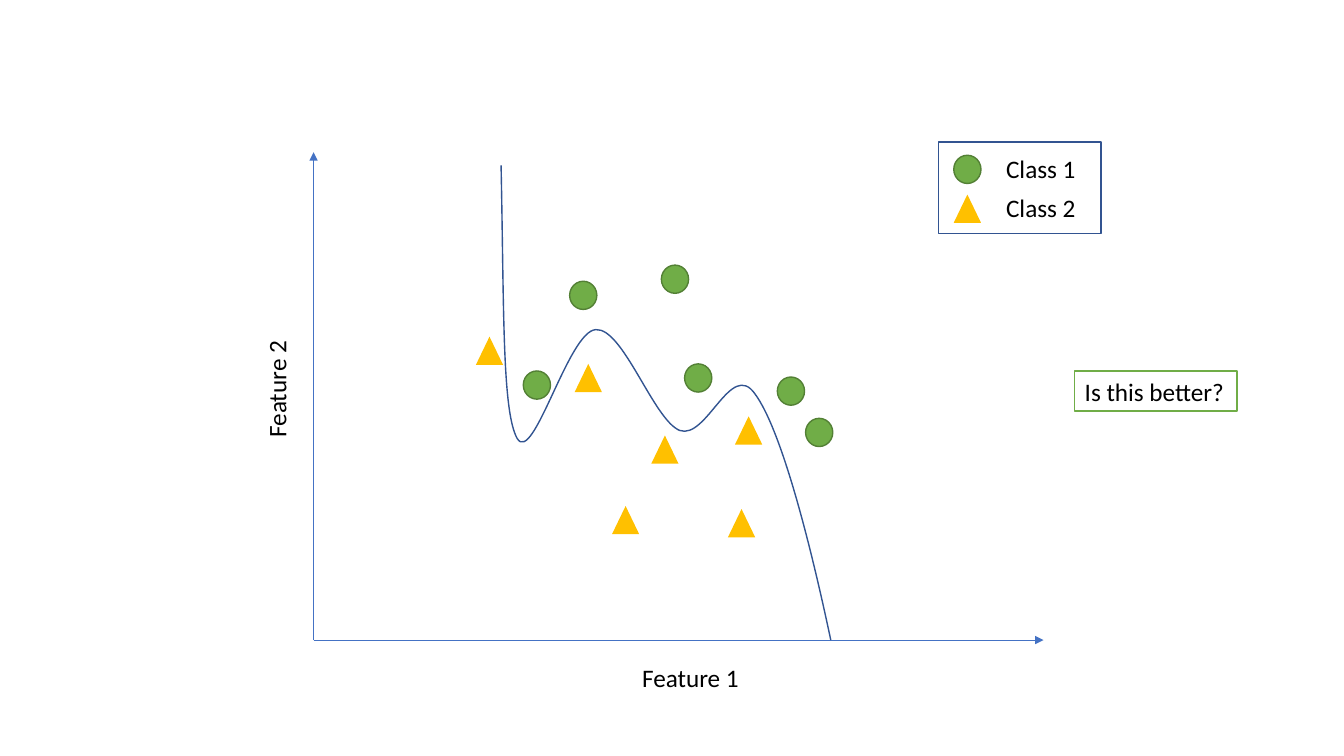
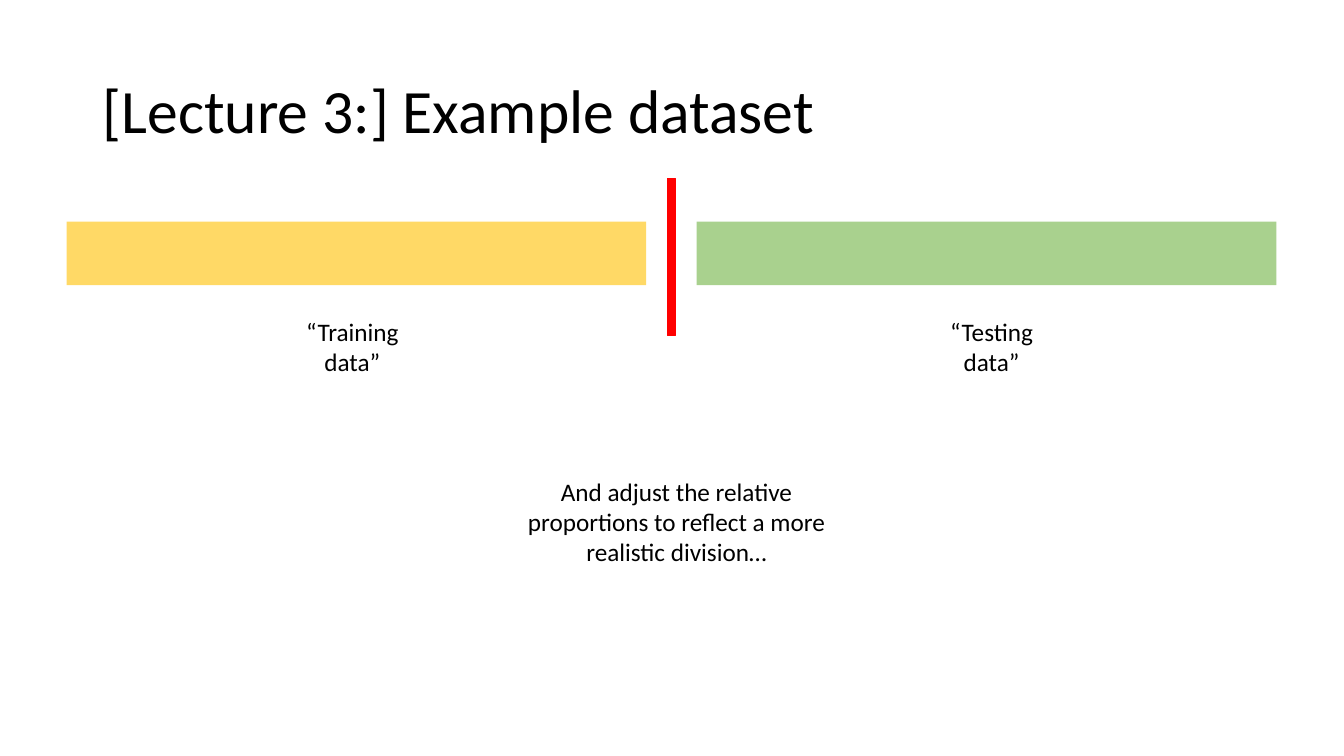
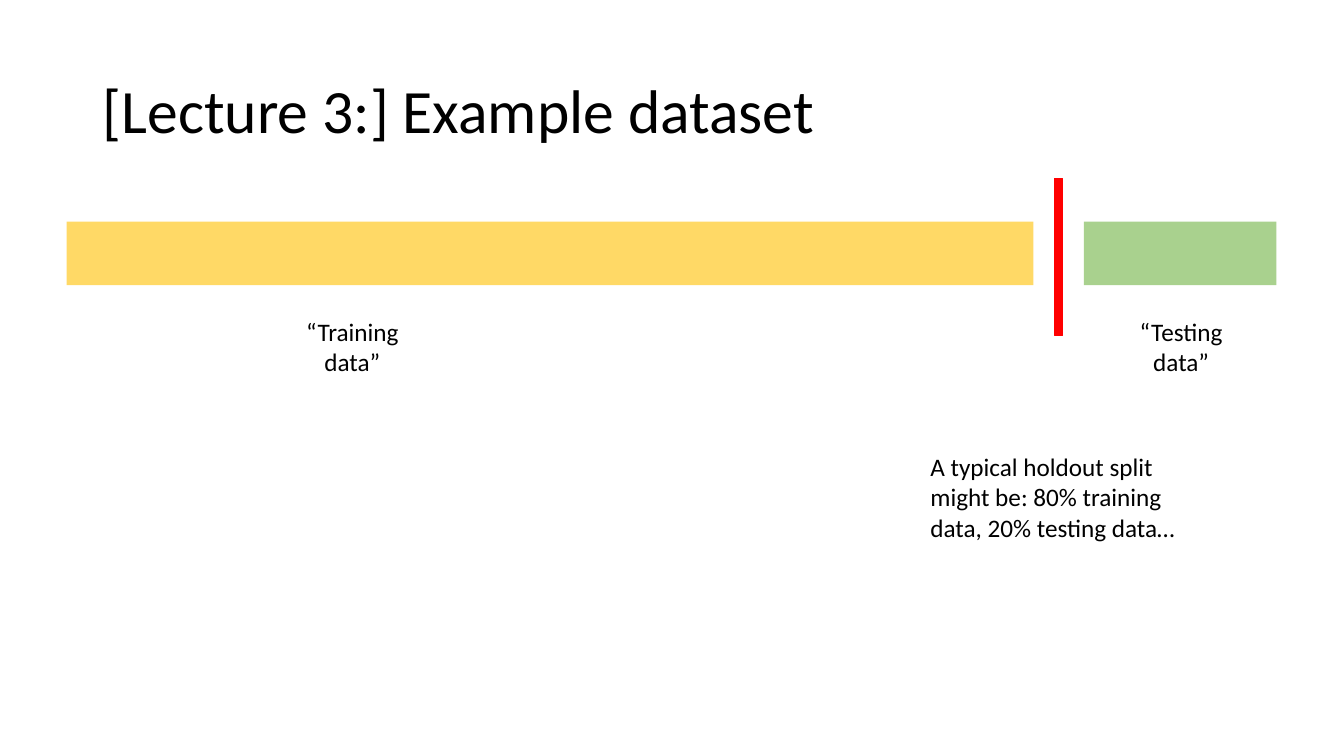
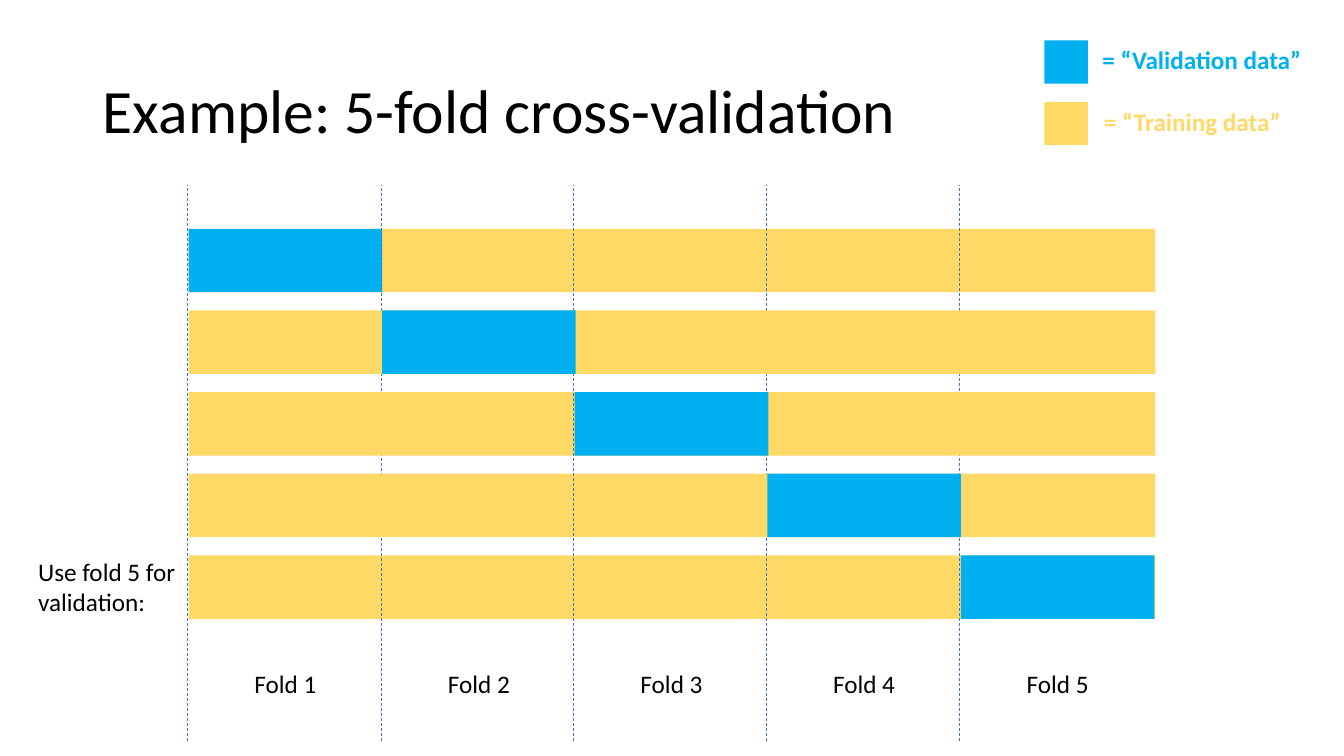
from lxml import etree
from pptx import Presentation
from pptx.dml.color import RGBColor
from pptx.enum.dml import MSO_LINE
from pptx.enum.shapes import MSO_CONNECTOR, MSO_SHAPE
from pptx.enum.text import MSO_ANCHOR, PP_ALIGN
from pptx.oxml.ns import qn
from pptx.util import Inches, Pt

RECT, OVAL, TRIANGLE = MSO_SHAPE.RECTANGLE, MSO_SHAPE.OVAL, MSO_SHAPE.ISOSCELES_TRIANGLE
LEFT, CENTER = PP_ALIGN.LEFT, PP_ALIGN.CENTER
MIDDLE = MSO_ANCHOR.MIDDLE
DASH = MSO_LINE.DASH
STRAIGHT = MSO_CONNECTOR.STRAIGHT

FONT = "Calibri"
COLORS = {
    "text": "000000", "white": "FFFFFF", "axis": "4472C4", "curve": "325491",
    "class1": "70AD47", "class1_line": "538035", "class2": "FFC000",
    "training": "FFD966", "testing": "A9D18E", "validation": "00B0F0",
    "divider": "FF0000",
}

TITLE_ONLY, BLANK = 5, 6
BAR_H = 0.63
MARK_W, MARK_H = 0.27, 0.28


# Shared elements
def rgb(name):
    return RGBColor.from_string(COLORS[name])


def set_line(line, color, width=1.0):
    line.color.rgb = rgb(color)
    line.width = Pt(width)


def write(tf, text, size=18, color="text", bold=False, align=LEFT, spacing=None):
    tf.word_wrap = True
    p = tf.paragraphs[0]
    p.alignment = align
    if spacing:
        p.line_spacing = spacing
    r = p.add_run()
    r.text = text
    r.font.name = FONT
    r.font.size = Pt(size)
    r.font.bold = bold
    r.font.color.rgb = rgb(color)


def add_text(s, x, y, w, h, text, rotation=0, **fmt):
    sp = s.shapes.add_textbox(Inches(x), Inches(y), Inches(w), Inches(h))
    sp.rotation = rotation
    write(sp.text_frame, text, **fmt)


def add_shape(s, kind, x, y, w, h, fill=None, outline=None):
    sp = s.shapes.add_shape(kind, Inches(x), Inches(y), Inches(w), Inches(h))
    sp.shadow.inherit = False
    if fill:
        sp.fill.solid()
        sp.fill.fore_color.rgb = rgb(fill)
    else:
        sp.fill.background()
    if outline:
        set_line(sp.line, outline)
    else:
        sp.line.fill.background()
    return sp


def add_label(s, x, y, w, h, text, outline=None, align=CENTER, **fmt):
    sp = add_shape(s, RECT, x, y, w, h, "white", outline)
    write(sp.text_frame, text, align=align, **fmt)


def add_line(s, x1, y1, x2, y2, dash=None, arrow=False):
    c = s.shapes.add_connector(STRAIGHT, Inches(x1), Inches(y1), Inches(x2), Inches(y2))
    set_line(c.line, "axis", 0.5)
    if dash:
        c.line.dash_style = dash
    sp_pr = c.element.spPr
    if arrow:
        etree.SubElement(sp_pr.find(qn("a:ln")), qn("a:tailEnd"), type="triangle")
    etree.SubElement(sp_pr, qn("a:effectLst"))


def add_title_slide(prs, title):
    s = prs.slides.add_slide(prs.slide_layouts[TITLE_ONLY])
    sp = s.shapes.title
    sp.left, sp.top, sp.width, sp.height = map(Inches, (0.92, 0.4, 11.5, 1.45))
    sp.text_frame.vertical_anchor = MIDDLE
    write(sp.text_frame, title, size=44, spacing=0.9)
    return s


# Scatter plot with an overfitted boundary
def add_class1(s, x, y):
    add_shape(s, OVAL, x, y, MARK_W, MARK_H, "class1", "class1_line")


def add_class2(s, x, y):
    add_shape(s, TRIANGLE, x, y, MARK_W, MARK_H, "class2")


def add_curve(s, start, curves, color):
    """Open outline of cubic curves, each (control, control, end)."""
    builder = s.shapes.build_freeform(Inches(start[0]), Inches(start[1]))
    builder.add_line_segments([(Inches(x), Inches(y)) for _, _, (x, y) in curves],
                              close=False)
    sp = builder.convert_to_shape()
    # Turn each straight segment into a cubic one
    segments = list(sp.element.iter(qn("a:lnTo")))
    for segment, points in zip(segments, curves):
        segment.clear()
        cubic = etree.Element(qn("a:cubicBezTo"))
        for x, y in points:
            etree.SubElement(cubic, qn("a:pt"), x=str(Inches(x) - sp.left),
                             y=str(Inches(y) - sp.top))
        segment.getparent().replace(segment, cubic)
    sp.shadow.inherit = False
    sp.fill.background()
    set_line(sp.line, color)


def scatter_slide(prs):
    s = prs.slides.add_slide(prs.slide_layouts[BLANK])
    # Axes
    x0, y0 = 3.11, 6.35
    add_line(s, x0, y0, x0, 1.51, arrow=True)
    add_line(s, x0, y0, 10.35, y0, arrow=True)
    add_text(s, 6.27, 6.52, 1.22, 0.4, "Feature 1")
    add_text(s, 2.13, 3.63, 1.22, 0.4, "Feature 2", rotation=270)
    # Data points
    for x, y in [(4.72, 3.34), (5.7, 3.61), (6.46, 4.32), (7.22, 5.05),
                 (6.07, 5.02), (7.29, 4.13)]:
        add_class2(s, x, y)
    for x, y in [(5.65, 2.79), (6.56, 2.63), (6.79, 3.61), (7.71, 3.74),
                 (7.99, 4.15), (5.19, 3.68)]:
        add_class1(s, x, y)
    # Class boundary
    add_curve(s, (4.97, 1.64), [
        ((5, 3.09), (4.98, 4.08), (5.13, 4.35)),
        ((5.29, 4.62), (5.64, 3.28), (5.91, 3.27)),
        ((6.18, 3.25), (6.48, 4.16), (6.74, 4.27)),
        ((7.01, 4.37), (7.25, 3.56), (7.49, 3.91)),
        ((7.74, 4.25), (8.02, 5.31), (8.24, 6.35)),
    ], "curve")
    # Legend
    add_shape(s, RECT, 9.31, 1.41, 1.61, 0.91, outline="curve")
    for i, (mark, label) in enumerate([(add_class1, "Class 1"), (add_class2, "Class 2")]):
        y = 1.47 + 0.39 * i
        mark(s, 9.46, y + 0.07)
        add_text(s, 9.88, y, 1.22, 0.4, label)
    add_label(s, 10.66, 3.68, 1.61, 0.4, "Is this better?", outline="class1", align=LEFT)


# Holdout split into training and testing data
def split_slide(prs, train_w, test_label_x):
    s = add_title_slide(prs, "[Lecture 3:] Example dataset")
    left, right, gap, top = 0.66, 12.66, 0.5, 2.2
    train_end = left + train_w
    test_x = train_end + gap
    add_shape(s, RECT, train_end + gap / 2 - 0.04, 1.77, 0.08, 1.56, "divider", "divider")
    for x, label in [(2.93, "“Training data”"), (test_label_x, "“Testing data”")]:
        add_label(s, x, 3.08, 1.13, 0.71, label)
    add_shape(s, RECT, left, top, train_w, BAR_H, "training")
    add_shape(s, RECT, test_x, top, right - test_x, BAR_H, "testing")
    return s


# Five-fold cross-validation grid
def folds_slide(prs):
    s = add_title_slide(prs, "Example: 5-fold cross-validation")
    fold_starts = [1.87, 3.79, 5.7, 7.61, 9.53]
    top, row_pitch, bar_w, fold_w = 2.27, 0.81, 9.59, 1.92

    def add_bar(row):
        add_shape(s, RECT, fold_starts[0], top + row * row_pitch, bar_w, BAR_H, "training")

    def add_validation(row):
        add_shape(s, RECT, fold_starts[row], top + row * row_pitch, fold_w, BAR_H,
                  "validation")

    def add_fold_line(fold):
        x = fold_starts[fold] - 0.01
        add_line(s, x, 7.35, x, 1.84, dash=DASH)

    # Legend
    add_label(s, 10.82, 1, 2.01, 0.4, "= “Training data”", color="training", bold=True)
    add_label(s, 10.71, 0.39, 2.42, 0.4, "= “Validation data”", color="validation", bold=True)
    for i, color in enumerate(["validation", "training"]):
        add_shape(s, RECT, 10.36, 0.4 + 0.61 * i, 0.43, 0.43, color)

    # First and last rows lie under the fold lines, the middle rows over most of them
    for row in (0, 4):
        add_bar(row)
        add_validation(row)
    for fold in (0, 1, 3, 4):
        add_fold_line(fold)
    for row in (1, 2, 3):
        add_bar(row)
    add_fold_line(2)
    for row in (1, 2, 3):
        add_validation(row)

    # Labels
    label_w = 1.45
    for i, x in enumerate(fold_starts, 1):
        add_text(s, x + (fold_w - label_w) / 2, 6.58, label_w, 0.4, f"Fold {i}",
                 align=CENTER)
    add_text(s, 0.28, 5.47, 1.63, 0.71, "Use fold 5 for validation:")


def main():
    prs = Presentation()
    prs.slide_width, prs.slide_height = Inches(13.33), Inches(7.5)
    scatter_slide(prs)
    s = split_slide(prs, train_w=5.75, test_label_x=9.27)
    add_label(s, 5.05, 4.67, 3.32, 1.01,
              "And adjust the relative proportions to reflect a more realistic division…")
    s = split_slide(prs, train_w=9.59, test_label_x=11.15)
    add_text(s, 9.13, 4.43, 2.73, 1.01,
             "A typical holdout split might be: 80% training data, 20% testing data…")
    folds_slide(prs)
    prs.save("out.pptx")


if __name__ == "__main__":
    main()
